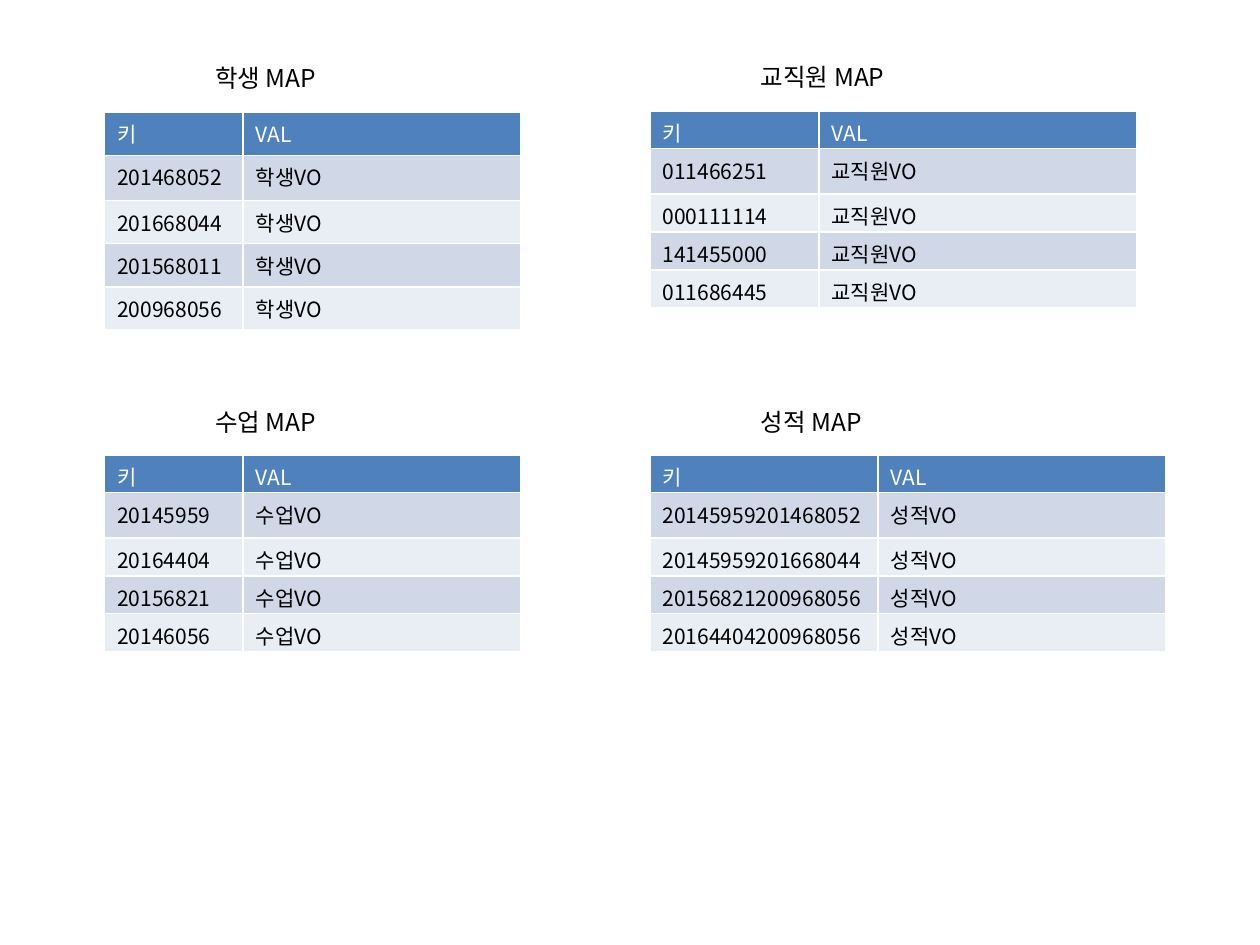
from dataclasses import dataclass

from lxml import etree
from pptx import Presentation
from pptx.dml.color import RGBColor
from pptx.enum import text
from pptx.oxml import ns
from pptx.util import Inches, Pt

FONT = "Noto Sans CJK KR"
WHITE = RGBColor(0xFF, 0xFF, 0xFF)
BLACK = RGBColor(0x00, 0x00, 0x00)
HEADER_BLUE = RGBColor(0x4F, 0x81, 0xBD)
BANDS = (RGBColor(0xD0, 0xD8, 0xE8), RGBColor(0xE9, 0xED, 0xF4))

HEADINGS = ("키", "VAL")
COMPACT_ROWS = (0.29, 0.36, 0.3, 0.3, 0.3)
ROOMY_ROWS = (0.33, 0.36, 0.34, 0.34, 0.34)


@dataclass(frozen=True)
class KeyMap:
    """A captioned table that maps keys to one kind of value object."""
    entity: str
    left: float
    top: float
    caption_left: float
    caption_top: float
    caption_width: float
    columns: tuple[float, float]
    keys: tuple[str, ...]
    rows: tuple[float, ...] = COMPACT_ROWS


KEY_MAPS = (
    KeyMap("학생", 0.83, 0.89, 1.61, 0.45, 1.14, (1.1, 2.2),
           ("201468052", "201668044", "201568011", "200968056"), ROOMY_ROWS),
    KeyMap("교직원", 5.16, 0.88, 5.94, 0.44, 1.57, (1.34, 2.52),
           ("011466251", "000111114", "141455000", "011686445")),
    KeyMap("수업", 0.83, 3.61, 1.61, 3.18, 1.14, (1.1, 2.2),
           ("20145959", "20164404", "20156821", "20146056")),
    KeyMap("성적", 5.16, 3.61, 5.94, 3.18, 1.14, (1.81, 2.28),
           ("20145959201468052", "20145959201668044",
            "20156821200968056", "20164404200968056")),
)


def write(frame, words: str, size: int, color: RGBColor) -> None:
    """Put one formatted span in a text frame."""
    span = frame.paragraphs[0].add_run()
    span.text = words
    formats = {"size": Pt(size), "bold": False, "name": FONT}
    for name, value in formats.items():
        setattr(span.font, name, value)
    span.font.color.rgb = color
    properties = span._r.get_or_add_rPr()
    etree.SubElement(properties, ns.qn("a:ea"), typeface=FONT)


def add_caption(page, key_map: KeyMap) -> None:
    """Write the name of a map above its table."""
    box = page.shapes.add_textbox(
        Inches(key_map.caption_left), Inches(key_map.caption_top),
        Inches(key_map.caption_width), Inches(0.34))
    formats = {"word_wrap": True,
               "auto_size": text.MSO_AUTO_SIZE.SHAPE_TO_FIT_TEXT}
    for name, value in formats.items():
        setattr(box.text_frame, name, value)
    write(box.text_frame, f"{key_map.entity} MAP", 14, BLACK)


def add_key_table(page, key_map: KeyMap) -> None:
    """Draw the header and the banded key rows of a map."""
    records = [HEADINGS] + [(key, f"{key_map.entity}VO") for key in key_map.keys]
    table = page.shapes.add_table(
        len(records), len(HEADINGS), Inches(key_map.left), Inches(key_map.top),
        Inches(sum(key_map.columns)), Inches(sum(key_map.rows))).table
    for column, width in zip(table.columns, key_map.columns):
        column.width = Inches(width)
    for index, (row, height, record) in enumerate(
            zip(table.rows, key_map.rows, records)):
        row.height = Inches(height)
        fill = BANDS[(index - 1) % 2] if index else HEADER_BLUE
        for cell, words in zip(row.cells, record):
            cell.fill.solid()
            cell.fill.fore_color.rgb = fill
            write(cell.text_frame, words, 12, BLACK if index else WHITE)


deck = Presentation()
deck.slide_width, deck.slide_height = Inches(10), Inches(7.5)
page = deck.slides.add_slide(deck.slide_layouts[6])
for key_map in KEY_MAPS:
    add_key_table(page, key_map)
    add_caption(page, key_map)
deck.save("out.pptx")
